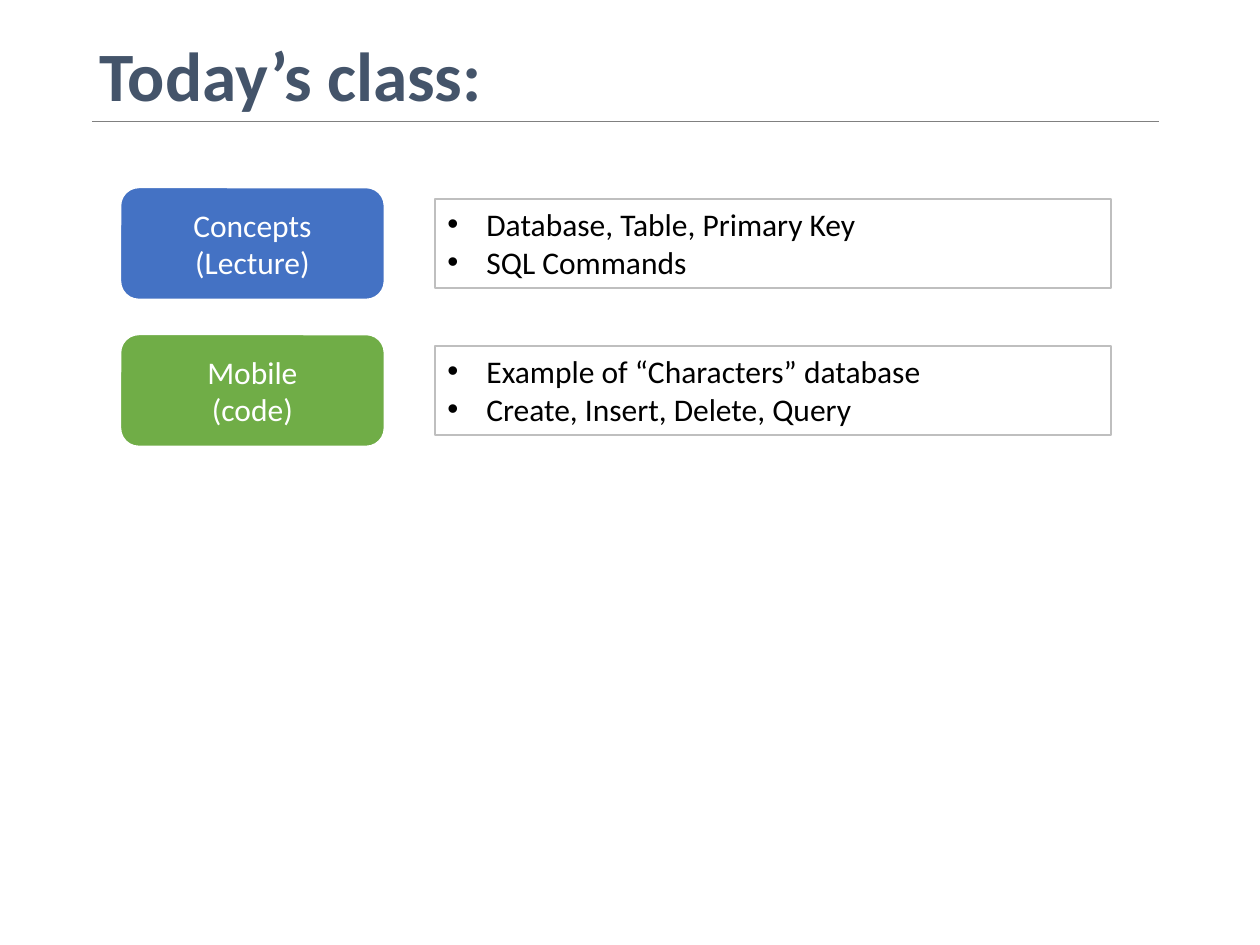
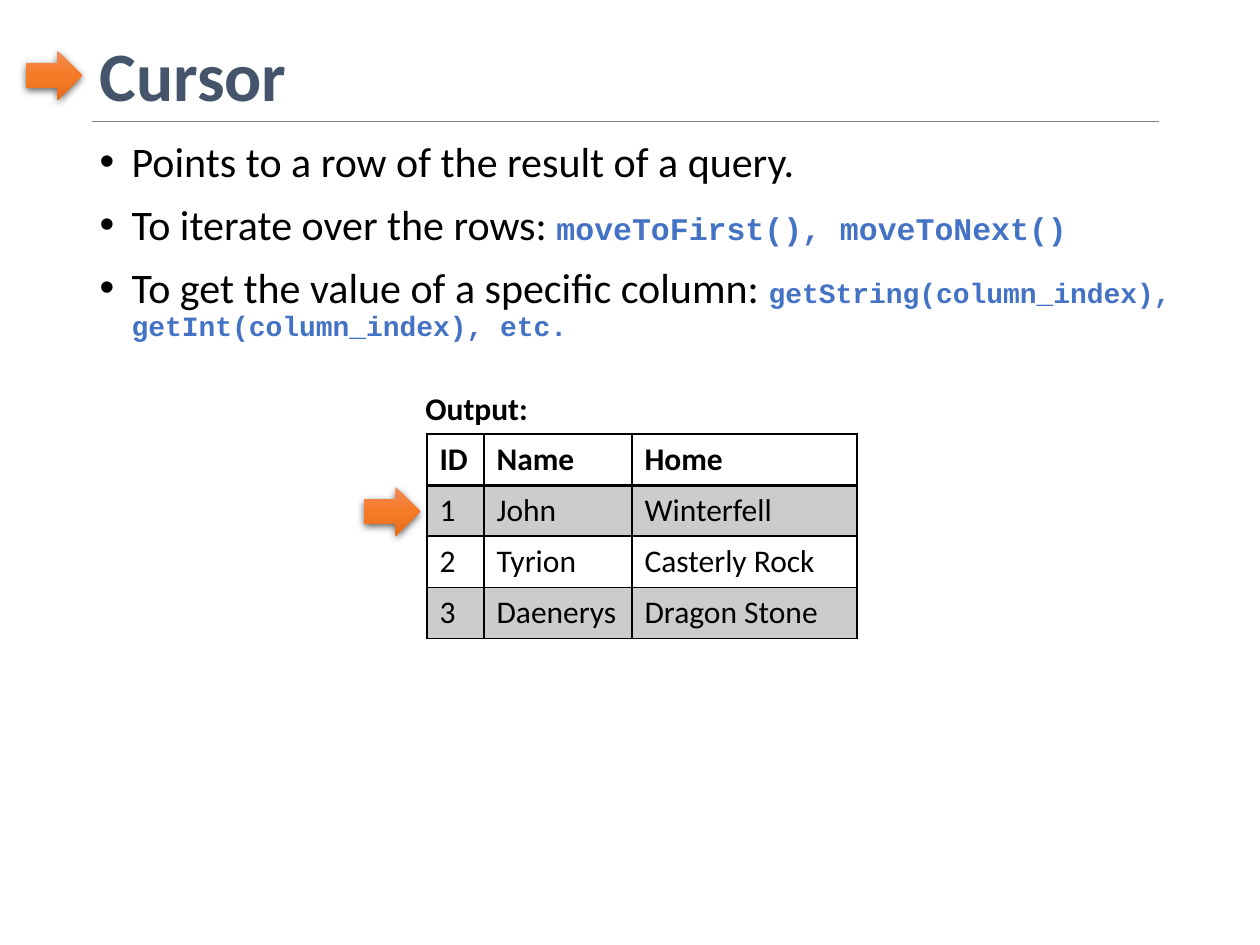
"""Builds two lecture slides: the class agenda and the database cursor."""
from dataclasses import dataclass
from pptx import Presentation
from pptx.dml.color import RGBColor as RGB
from pptx.enum.shapes import MSO_CONNECTOR as CONN, MSO_SHAPE as SHAPE
from pptx.enum.text import MSO_ANCHOR as ANCHOR, MSO_AUTO_SIZE as AUTO, PP_ALIGN as ALIGN
from pptx.oxml.ns import qn
from pptx.util import Pt
from lxml.etree import SubElement


@dataclass(frozen=True)
class Theme:
    font: str = "Calibri"
    code_font: str = "Courier New"
    title: str = "44546A"
    ink: str = "000000"
    paper: str = "FFFFFF"
    rule: str = "808080"
    frame: str = "BFBFBF"
    blue: str = "4472C4"
    green: str = "70AD47"
    band: str = "CCCCCC"
    arrow: tuple = ("F18C57", "F67B28", "E56C19")
    title_size: float = 39.6
    body_size: int = 24
    text_size: int = 18
    small_size: int = 16


T = Theme()
PX = 914400 // 126

AGENDA_TITLE = "Today’s class:"
AGENDA = [
    (T.blue, ["Concepts", "(Lecture)"],
     ["Database, Table, Primary Key", "SQL Commands"]),
    (T.green, ["Mobile", "(code)"],
     ["Example of “Characters” database", "Create, Insert, Delete, Query"]),
]

CURSOR_TITLE = "Cursor"
CODE = dict(font=T.code_font, color=T.blue, bold=True)
POINTS = [
    ["Points to a row of the result of a query."],
    ["To iterate over the rows: ",
     ("moveToFirst(), moveToNext()", dict(CODE, size=T.text_size))],
    ["To get the value of a specific column: ",
     ("getString(column_index), getInt(column_index), etc.", dict(CODE, size=T.small_size))],
]
OUTPUT_LABEL = "Output:"
OUTPUT = [
    ("ID", "Name", "Home"),
    ("1", "John", "Winterfell"),
    ("2", "Tyrion", "Casterly Rock"),
    ("3", "Daenerys", "Dragon Stone"),
]
COLUMNS = (57, 148, 225)
ROW = 51
TABLE_LEFT, TABLE_TOP = 427, 434
ARROW_W, ARROW_H = 56, 49


def px(*values):
    return [round(v * PX) for v in values]


def sub(parent, tag, **attrs):
    return SubElement(parent, qn(tag), {k: str(v) for k, v in attrs.items()})


def style_run(r, font=T.font, size=T.text_size, color=T.ink, bold=False):
    r.font.name, r.font.size, r.font.bold = font, Pt(size), bold
    r.font.color.rgb = RGB.from_string(color)


def write(tf, paragraphs, align=ALIGN.LEFT, indent=0, spacing=None, before=0, **fmt):
    """Fills a frame; a paragraph is a string or a list of strings and (text, format)."""
    for i, parts in enumerate(paragraphs):
        p = tf.paragraphs[0] if i == 0 else tf.add_paragraph()
        p.alignment, p.line_spacing, p.space_before = align, spacing, Pt(before)
        if indent:
            pPr = p._p.get_or_add_pPr()
            pPr.set("marL", str(indent * PX))
            pPr.set("indent", str(-indent * PX))
            sub(pPr, "a:buFont", typeface="Arial")
            sub(pPr, "a:buChar", char="•")
        for part in [parts] if isinstance(parts, str) else parts:
            text, own = (part, {}) if isinstance(part, str) else part
            r = p.add_run()
            r.text = text
            style_run(r, **{**fmt, **own})


def place(sp, left, top, width, height):
    sp.left, sp.top, sp.width, sp.height = px(left, top, width, height)


def new_slide(prs, layout, title):
    s = prs.slides.add_slide(prs.slide_layouts[layout])
    sp = s.shapes.title
    place(sp, 87, 50, 1086, 59)
    tf = sp.text_frame
    tf.auto_size, tf.vertical_anchor = AUTO.NONE, ANCHOR.MIDDLE
    write(tf, [title], spacing=0.9, size=T.title_size, color=T.title, bold=True)
    line = s.shapes.add_connector(CONN.STRAIGHT, *px(92, 121, 1159, 121))
    line.line.color.rgb, line.line.width = RGB.from_string(T.rule), Pt(0.5)
    sub(line._element.spPr, "a:effectLst")
    return s


def add_box(s, kind, box, fill, line, weight):
    sp = s.shapes.add_shape(kind, *px(*box))
    sp.shadow.inherit = False
    sp.fill.solid()
    sp.fill.fore_color.rgb = RGB.from_string(fill)
    sp.line.color.rgb, sp.line.width = RGB.from_string(line), Pt(weight)
    return sp.text_frame


def add_arrow(s, left, top):
    sp = s.shapes.add_shape(SHAPE.RIGHT_ARROW, *px(left, top, ARROW_W, ARROW_H))
    sp.line.fill.background()
    sp.fill.gradient()
    sp.fill.gradient_angle = 270
    spPr = sp._element.spPr
    stops = spPr.find(".//" + qn("a:gsLst"))
    for stop in list(stops):
        stops.remove(stop)
    for i, color in enumerate(T.arrow):
        sub(sub(stops, "a:gs", pos=i * 50000), "a:srgbClr", val=color)
    sp.shadow.inherit = False
    shadow = sub(spPr.find(qn("a:effectLst")), "a:outerShdw", blurRad=Pt(4.5),
                 dist=Pt(1.5), dir=5400000, rotWithShape=0)
    sub(sub(shadow, "a:srgbClr", val=T.ink), "a:alpha", val=63000)


def add_borders(cell, **weights):
    tcPr = cell._tc.get_or_add_tcPr()
    for side, weight in weights.items():
        ln = sub(tcPr, "a:ln" + side, w=Pt(weight))
        sub(sub(ln, "a:solidFill"), "a:srgbClr", val=T.ink)


def add_output(s):
    box = px(TABLE_LEFT, TABLE_TOP, sum(COLUMNS), ROW * len(OUTPUT))
    table = s.shapes.add_table(len(OUTPUT), len(COLUMNS), *box).table
    for column, width in zip(table.columns, COLUMNS):
        column.width = width * PX
    for i, values in enumerate(OUTPUT):
        table.rows[i].height = ROW * PX
        for j, value in enumerate(values):
            cell = table.cell(i, j)
            add_borders(cell, L=1, R=1, T=2 if i == 1 else 1, B=2 if i == 0 else 1)
            if i % 2:
                cell.fill.solid()
                cell.fill.fore_color.rgb = RGB.from_string(T.band)
            else:
                cell.fill.background()
            write(cell.text_frame, [value], bold=i == 0)


def agenda_slide(prs):
    s = new_slide(prs, 5, AGENDA_TITLE)
    pill_h, panel_h, pitch = 113, 89, 147
    for i, (color, label, topics) in enumerate(AGENDA):
        top = 187 + i * pitch
        tf = add_box(s, SHAPE.ROUNDED_RECTANGLE, (120, top, 265, pill_h), color, T.paper, 1.5)
        tf.vertical_anchor = ANCHOR.MIDDLE
        write(tf, label, align=ALIGN.CENTER, color=T.paper)
        panel = (435, top + (pill_h - panel_h) / 2, 676, panel_h)
        tf = add_box(s, SHAPE.RECTANGLE, panel, T.paper, T.frame, 1)
        tf.vertical_anchor = ANCHOR.TOP
        write(tf, topics, indent=39)


def cursor_slide(prs):
    s = new_slide(prs, 1, CURSOR_TITLE)
    body = s.placeholders[1]
    place(body, 87, 135, 1149, 716)
    body.text_frame.auto_size = AUTO.NONE
    write(body.text_frame, POINTS, indent=32, spacing=0.9, before=10, size=T.body_size)
    add_output(s)
    tf = s.shapes.add_textbox(*px(413, 383, 129, 50)).text_frame
    tf.word_wrap = False
    write(tf, [OUTPUT_LABEL], bold=True)
    add_arrow(s, TABLE_LEFT - ARROW_W - 7, TABLE_TOP + ROW + 2)
    add_arrow(s, 26, 51)


prs = Presentation()
prs.slide_width, prs.slide_height = px(1260, 945)
agenda_slide(prs)
cursor_slide(prs)
prs.save("out.pptx")
